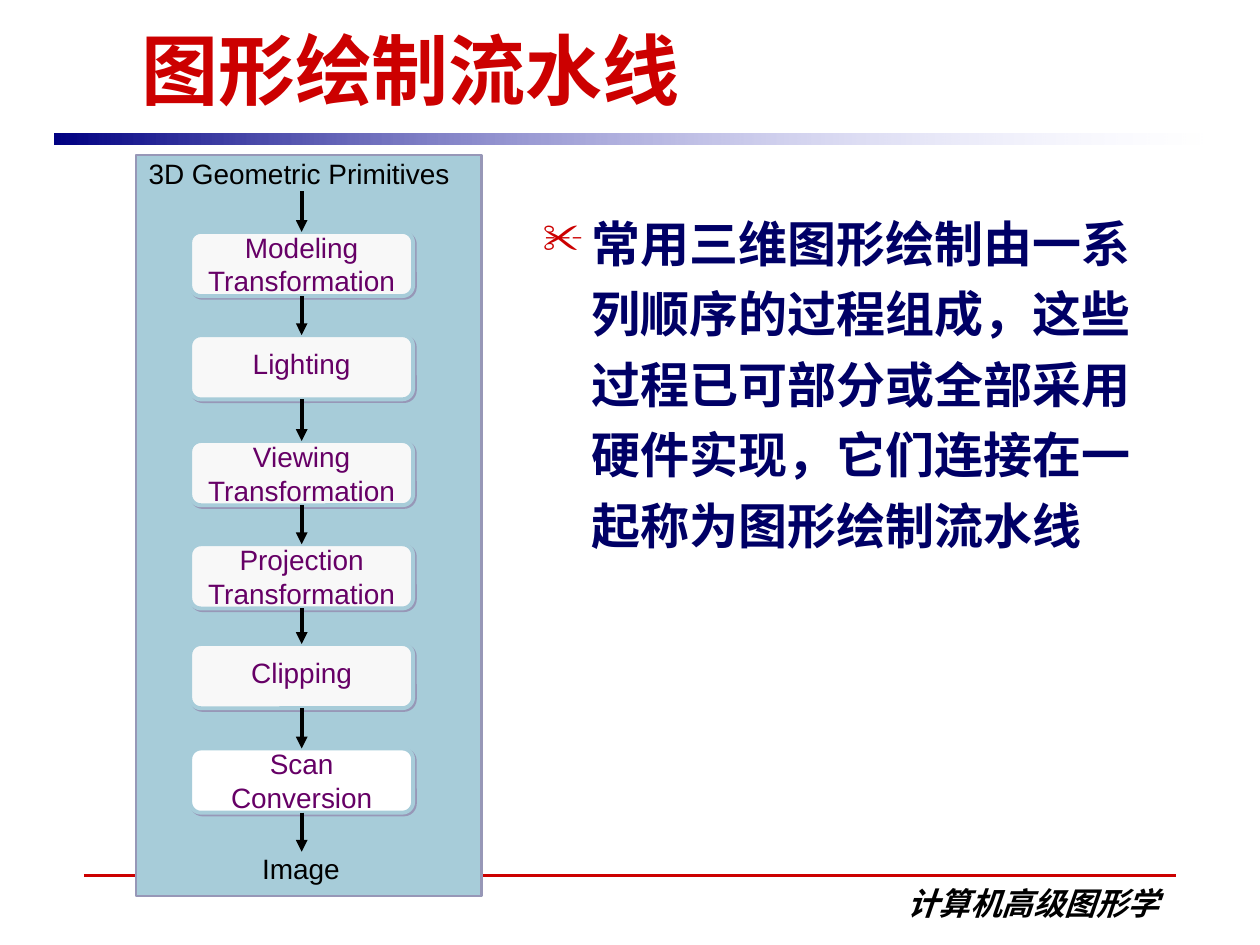
"""Build the graphics pipeline slide."""
from lxml import etree
from pptx import Presentation
from pptx.dml.color import RGBColor
from pptx.enum.shapes import MSO_CONNECTOR, MSO_SHAPE
from pptx.enum.text import MSO_ANCHOR, MSO_AUTO_SIZE, PP_ALIGN
from pptx.oxml.ns import qn
from pptx.util import Pt

RECT, ROUNDED = MSO_SHAPE.RECTANGLE, MSO_SHAPE.ROUNDED_RECTANGLE
STRAIGHT = MSO_CONNECTOR.STRAIGHT
LEFT, CENTER, RIGHT = PP_ALIGN.LEFT, PP_ALIGN.CENTER, PP_ALIGN.RIGHT
TOP, MIDDLE, BOTTOM = MSO_ANCHOR.TOP, MSO_ANCHOR.MIDDLE, MSO_ANCHOR.BOTTOM
TOP_SIDE, BOTTOM_SIDE = 0, 2
LATIN, CJK = "Arial", "Noto Sans CJK SC"
COLORS = {
    "red": "CC0000", "navy": "000066", "purple": "660066", "black": "000000",
    "panel": "A7CCD9", "edge": "9797B7", "step": "F8F8F8", "white": "FFFFFF",
    "band_start": "000082", "band_end": "CCCCFF",
}
BOX_LEFT, BOX_WIDTH, BOX_HEIGHT = 108.7, 127.4, 36.7
AXIS = BOX_LEFT + BOX_WIDTH / 2
STEPS = [
    (132.5, "Modeling\nTransformation", "step"),
    (191.5, "Lighting", "step"),
    (252, "Viewing\nTransformation", "step"),
    (311, "Projection\nTransformation", "step"),
    (368, "Clipping", "step"),
    (427.7, "Scan\nConversion", "white"),
]


def rgb(name):
    return RGBColor.from_string(COLORS[name])


def add_xml(parent, tag, **attrs):
    return etree.SubElement(parent, qn(tag), {k: str(v) for k, v in attrs.items()})


def write(sp, text, size=16, color="black", font=LATIN, bold=False, italic=False,
          align=LEFT, anchor=TOP, wrap=True, spacing=None, before=0, bullet=None):
    tf = sp.text_frame
    tf.word_wrap, tf.vertical_anchor = wrap, anchor
    tf.auto_size = MSO_AUTO_SIZE.NONE
    for i, line in enumerate(text.split("\n")):
        p = tf.add_paragraph() if i else tf.paragraphs[0]
        p.alignment, p.space_before = align, Pt(before)
        if spacing:
            p.line_spacing = spacing
        if bullet:
            set_bullet(p, bullet)
        r = p.add_run()
        r.text = line
        r.font.size, r.font.name = Pt(size), font
        r.font.bold, r.font.italic = bold, italic
        r.font.color.rgb = rgb(color)
        add_xml(r.font._element, "a:ea", typeface=font)


def set_bullet(p, char):
    pPr = p._p.get_or_add_pPr()
    pPr.set("marL", str(Pt(28)))
    pPr.set("indent", str(-Pt(28)))
    add_xml(add_xml(pPr, "a:buClr"), "a:srgbClr", val=COLORS["red"])
    add_xml(pPr, "a:buSzPct", val=85000)
    add_xml(pPr, "a:buChar", char=char)


def add_text(s, text, left, top, width, height, **fmt):
    sp = s.shapes.add_textbox(Pt(left), Pt(top), Pt(width), Pt(height))
    write(sp, text, **fmt)


def add_box(s, kind, left, top, width, height, fill, line, weight):
    sp = s.shapes.add_shape(kind, Pt(left), Pt(top), Pt(width), Pt(height))
    sp.shadow.inherit = False
    sp.fill.solid()
    sp.fill.fore_color.rgb = rgb(fill)
    sp.line.color.rgb = rgb(line)
    sp.line.width = Pt(weight)
    return sp


def add_step(s, top, text, fill):
    sp = add_box(s, ROUNDED, BOX_LEFT, top, BOX_WIDTH, BOX_HEIGHT, fill, "panel", 2.25)
    sp.adjustments[0] = 0.167
    effects = sp._element.spPr.find(qn("a:effectLst"))
    shadow = add_xml(effects, "a:outerShdw", dist=Pt(1.4), dir=45 * 60000,
                     algn="ctr", rotWithShape=0)
    add_xml(shadow, "a:srgbClr", val=COLORS["edge"])
    write(sp, text, color="purple", align=CENTER, anchor=MIDDLE, wrap=False,
          spacing=None if "\n" in text else 0.75)
    return sp


def add_line(s, x1, y1, x2, y2, color, weight):
    cn = s.shapes.add_connector(STRAIGHT, Pt(x1), Pt(y1), Pt(x2), Pt(y2))
    cn.line.color.rgb = rgb(color)
    cn.line.width = Pt(weight)
    add_xml(cn._element.spPr, "a:effectLst")
    return cn


def add_arrow(s, y1, y2, source=None, target=None):
    cn = add_line(s, AXIS, y1, AXIS, y2, "black", 2.25)
    add_xml(cn.line._get_or_add_ln(), "a:tailEnd", type="triangle")
    if source:
        cn.begin_connect(source, BOTTOM_SIDE)
    if target:
        cn.end_connect(target, TOP_SIDE)


def add_band(s):
    sp = s.shapes.add_shape(RECT, Pt(31), Pt(76.3), Pt(658), Pt(6.5))
    sp.shadow.inherit = False
    sp.line.fill.background()
    sp.fill.gradient()
    sp.fill.gradient_angle = 0
    stops = sp.fill.gradient_stops
    for stop, position, color in zip(stops, (0, 1), ("band_start", "band_end")):
        stop.position = position
        stop.color.rgb = rgb(color)
    end_color = list(sp._element.spPr.iter(qn("a:srgbClr")))[-1]
    add_xml(end_color, "a:alpha", val=0)


def add_title(s, text):
    sp = s.shapes.title
    sp.left, sp.top, sp.width, sp.height = Pt(73.4), Pt(9.4), Pt(601), Pt(59.8)
    write(sp, text, size=44, color="red", font=CJK, bold=True, anchor=BOTTOM)


def add_pipeline(s):
    add_box(s, RECT, 77.8, 88.6, 197.3, 423.4, "panel", "edge", 1.5)
    boxes = [add_step(s, *step) for step in STEPS]
    add_text(s, "3D Geometric Primitives", 77.8, 85.7, 186.5, 26.6,
             anchor=MIDDLE, wrap=False)
    add_text(s, "Image", 118, 483.1, 108, 26.6, align=CENTER, anchor=MIDDLE)
    tops = [step[0] for step in STEPS]
    starts = [109.4] + [top + BOX_HEIGHT for top in tops]
    for y1, y2, source, target in zip(starts, tops + [486.7], [None] + boxes, boxes + [None]):
        add_arrow(s, y1, y2, source, target)


def main():
    prs = Presentation()
    prs.slide_width, prs.slide_height = Pt(720), Pt(540)
    s = prs.slides.add_slide(prs.slide_layouts[5])
    add_line(s, 48, 500.4, 672, 500.4, "red", 1.75)
    add_band(s)
    add_text(s, "计算机高级图形学", 473.8, 501.8, 195.8, 28.8, size=18, font=CJK,
             bold=True, italic=True, align=RIGHT)
    add_title(s, "图形绘制流水线")
    add_text(s, "常用三维图形绘制由一系列顺序的过程组成，这些过程已可部分或全部采用"
             "硬件实现，它们连接在一起称为图形绘制流水线", 303.1, 111.6, 371.5, 208.8,
             size=28, color="navy", font=CJK, bold=True, spacing=1.2, bullet="✂")
    add_pipeline(s)
    prs.save("out.pptx")


if __name__ == "__main__":
    main()
